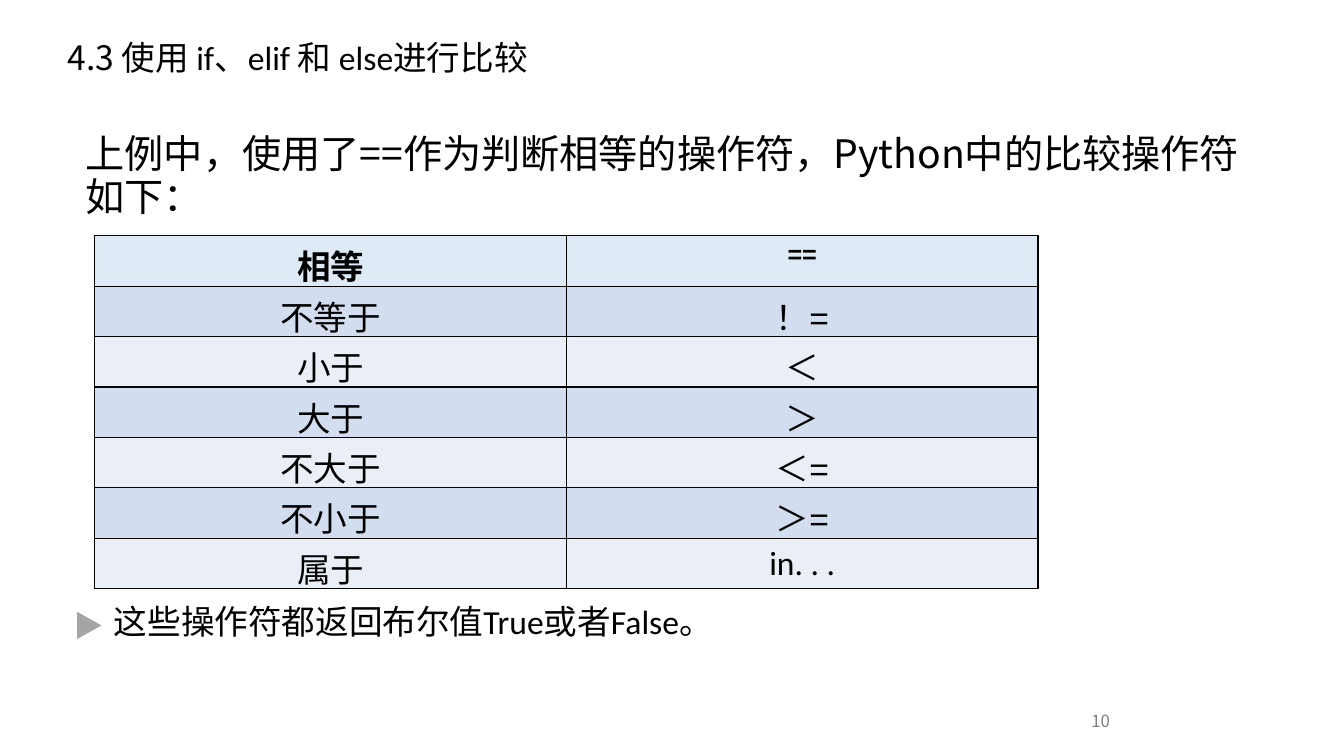
from lxml.etree import SubElement
from pptx import Presentation
from pptx.dml.color import RGBColor
from pptx.enum.shapes import MSO_SHAPE as Shape
from pptx.enum.text import MSO_ANCHOR as Anchor, PP_ALIGN as Align
from pptx.oxml.ns import qn
from pptx.util import Cm, Pt

BLACK = RGBColor(0, 0, 0)
WHITE = RGBColor(255, 255, 255)
GRAY = RGBColor(128, 128, 128)
MARKER = RGBColor(165, 165, 165)
HEADER = RGBColor(222, 235, 247)
DARK_BAND = RGBColor(210, 222, 239)
LIGHT_BAND = RGBColor(234, 239, 247)
HAN, LATIN, SYMBOL = "Noto Sans CJK SC", "Calibri", "Arial"

OPERATORS = [
    ("相等", "=="),
    ("不等于", "！="),
    ("小于", "＜"),
    ("大于", "＞"),
    ("不大于", "＜="),
    ("不小于", "＞="),
    ("属于", "in. . ."),
]


def add_span(para, text, face=HAN, size=24, color=BLACK, bold=False):
    """Append a formatted run to a paragraph."""
    span = para.add_run()
    span.text = text
    formats = {"name": face, "size": Pt(size), "bold": bold}
    for name, value in formats.items():
        setattr(span.font, name, value)
    span.font.color.rgb = color
    SubElement(span.font._element, qn("a:ea"), typeface=HAN)


def add_text(page, box, spans, size=24, color=BLACK, align=Align.LEFT,
             anchor=Anchor.TOP, spacing=0.9):
    """Place one paragraph of (text, font) spans in a box."""
    frame = page.shapes.add_textbox(*map(Cm, box)).text_frame
    for name, value in {"word_wrap": True, "vertical_anchor": anchor}.items():
        setattr(frame, name, value)
    para = frame.paragraphs[0]
    for name, value in {"alignment": align, "line_spacing": spacing}.items():
        setattr(para, name, value)
    for text, face in spans:
        add_span(para, text, face, size, color)


def add_borders(cell):
    """Draw a thin black line on all four sides of a cell."""
    properties = cell._tc.get_or_add_tcPr()
    for index, side in enumerate(("lnL", "lnR", "lnT", "lnB")):
        line = properties.makeelement(qn(f"a:{side}"), {"w": str(Pt(1))})
        fill = SubElement(line, qn("a:solidFill"))
        SubElement(fill, qn("a:srgbClr"), val=str(BLACK))
        properties.insert(index, line)


def add_operator_table(page, box):
    """Fill a box with the two-column table of comparison operators."""
    left, top, width, height = map(Cm, box)
    table = page.shapes.add_table(len(OPERATORS), 2, left, top, width, height).table
    for row, labels in enumerate(OPERATORS):
        band = DARK_BAND if row % 2 else LIGHT_BAND
        for column, label in enumerate(labels):
            cell = table.cell(row, column)
            cell.margin_top, cell.margin_bottom = Cm(0.13), 0
            cell.fill.solid()
            cell.fill.fore_color.rgb = band if row else HEADER
            add_borders(cell)
            para = cell.text_frame.paragraphs[0]
            para.alignment = Align.CENTER
            face = HAN if column == 0 else LATIN if label.startswith("in") else SYMBOL
            add_span(para, label, face, 18 if label == "==" else 24, bold=row == 0)


def add_conclusion(page, box):
    """Place the closing sentence with a triangle marker at its left."""
    left, top, width, height = box
    marker_width, marker_height = 0.71, 0.79
    center = left + marker_width / 2
    marker = page.shapes.add_shape(
        Shape.ISOSCELES_TRIANGLE, Cm(center - marker_height / 2),
        Cm(top + 0.62 - marker_width / 2), Cm(marker_height), Cm(marker_width))
    marker.rotation = 90
    marker.shadow.inherit = False
    marker.fill.solid()
    marker.fill.fore_color.rgb = MARKER
    marker.line.color.rgb = WHITE
    marker.line.width = Pt(1.5)
    add_text(page, (left + marker_width, top, width - marker_width, height), [
        ("这些操作符都返回布尔值", HAN), ("True", LATIN), ("或者", HAN),
        ("False", LATIN), ("。", HAN)])


def main():
    """Build the slide on comparison operators."""
    deck = Presentation()
    deck.slide_width, deck.slide_height = Cm(33.87), Cm(19.05)
    page = deck.slides.add_slide(deck.slide_layouts[6])
    add_text(page, (1.45, 0.91, 24.69, 1.27), [
        ("4.3 使用 ", HAN), ("if、elif ", LATIN), ("和 ", HAN),
        ("else", LATIN), ("进行比较", HAN)])
    add_text(page, (1.91, 3.28, 30.2, 2.64), [
        ("上例中，使用了==作为判断相等的操作符，Python中的比较操作符如下：", HAN)], size=28)
    add_operator_table(page, (2.39, 5.94, 23.77, 8.89))
    add_conclusion(page, (1.91, 15.14, 29.61, 1.27))
    add_text(page, (23.93, 17.65, 7.62, 1.02), [("10", HAN)], size=12, color=GRAY,
             align=Align.CENTER, anchor=Anchor.MIDDLE, spacing=1)
    deck.save("out.pptx")


if __name__ == "__main__":
    main()
